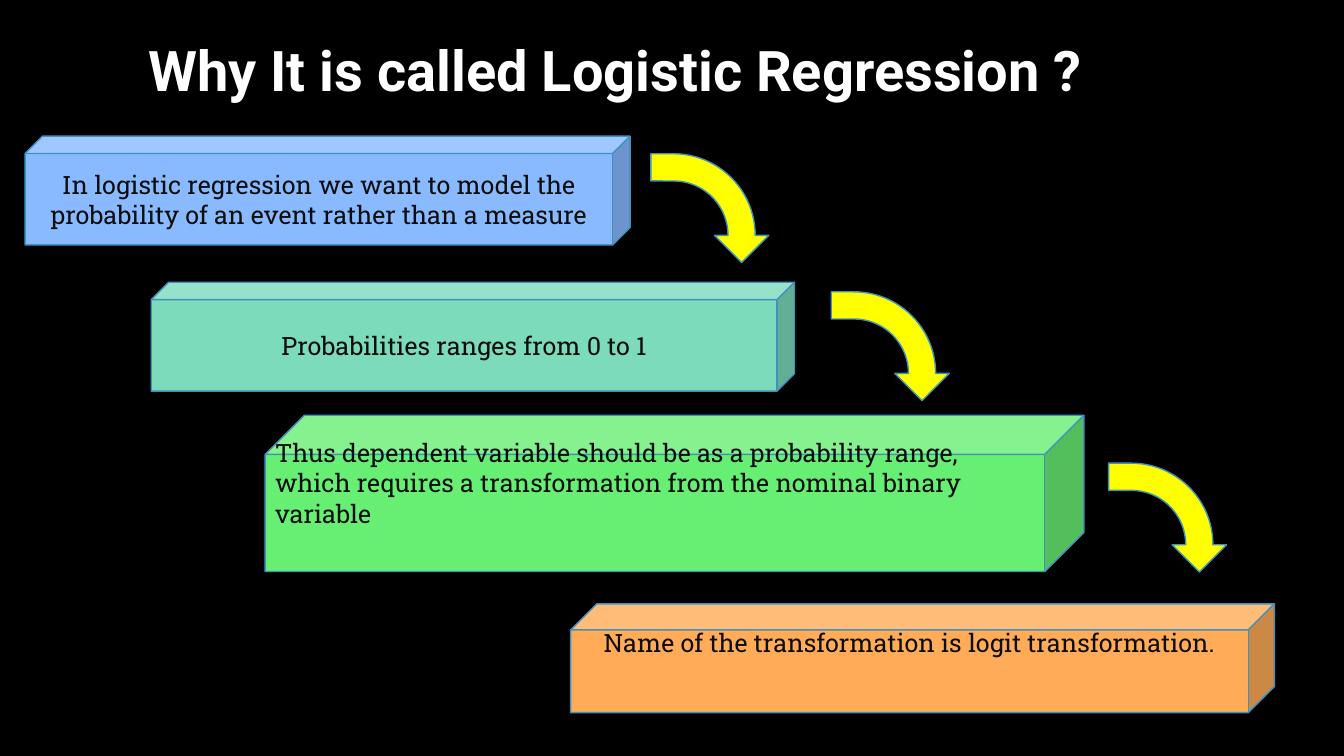
from pptx import Presentation
from pptx.dml.color import RGBColor
from pptx.enum.shapes import MSO_SHAPE
from pptx.enum.text import MSO_ANCHOR, MSO_AUTO_SIZE, PP_ALIGN
from pptx.util import Inches, Pt

THEME = {
    "background": RGBColor.from_string("000000"),
    "outline": RGBColor.from_string("4092BD"),
    "arrow": RGBColor.from_string("FFFF00"),
    "steps": [RGBColor.from_string(c) for c in ("89BAFF", "7BDBBB", "67EF74", "FFAB57")],
    "heading": {"name": "Roboto", "size": Pt(40), "bold": True,
                "color": RGBColor.from_string("FFFFFF")},
    "step_text": {"name": "Roboto Slab", "size": Pt(18), "bold": False,
                  "color": RGBColor.from_string("0D0D0D")},
}


def apply_font(paragraph, formats):
    for attribute, value in formats.items():
        if attribute == "color":
            paragraph.font.color.rgb = value
        else:
            setattr(paragraph.font, attribute, value)


def add_block(preset, place, adjustments, colour):
    block = slide.shapes.add_shape(preset, *[Inches(v) for v in place])
    for index, value in enumerate(adjustments):
        block.adjustments[index] = value
    block.shadow.inherit = False
    block.fill.solid()
    block.fill.fore_color.rgb = colour
    block.line.color.rgb = THEME["outline"]
    block.line.width = Pt(1)
    return block


prs = Presentation()
prs.slide_width, prs.slide_height = Inches(13.33), Inches(7.5)
slide = prs.slides.add_slide(prs.slide_layouts[5])
slide.background.fill.solid()
slide.background.fill.fore_color.rgb = THEME["background"]

heading = slide.shapes.title
heading_place = {"left": 1.37, "top": 0.3, "width": 11.96, "height": 0.77}
for attribute, value in heading_place.items():
    setattr(heading, attribute, Inches(value))
heading.text_frame.text = "Why It is called Logistic Regression ?"
heading.text_frame.auto_size = MSO_AUTO_SIZE.SHAPE_TO_FIT_TEXT
heading.text_frame.vertical_anchor = MSO_ANCHOR.TOP
heading.text_frame.paragraphs[0].alignment = PP_ALIGN.LEFT
apply_font(heading.text_frame.paragraphs[0], THEME["heading"])

steps = [
    ((0.25, 1.35, 6, 1.08), 0.16, PP_ALIGN.CENTER, 0.05,
     "In logistic regression we want to model the probability of an event rather than a measure"),
    ((1.5, 2.8, 6.38, 1.08), 0.16, PP_ALIGN.CENTER, 0.05,
     "Probabilities ranges from 0 to 1"),
    ((2.63, 4.12, 8.12, 1.55), 0.25, PP_ALIGN.LEFT, 0.65,
     "Thus dependent variable should be as a probability range, "
     "which requires a transformation from the nominal binary variable"),
    ((5.66, 5.99, 6.98, 1.08), 0.24, PP_ALIGN.CENTER, 0.63,
     "Name of the transformation is logit transformation."),
]
for (place, depth, alignment, bottom, wording), colour in zip(steps, THEME["steps"]):
    step = add_block(MSO_SHAPE.CUBE, place, [depth], colour)
    frame = step.text_frame
    frame.text = wording
    frame.word_wrap = True
    frame.vertical_anchor = MSO_ANCHOR.MIDDLE
    frame.margin_bottom = Inches(bottom)
    frame.paragraphs[0].alignment = alignment
    apply_font(frame.paragraphs[0], THEME["step_text"])

for left, top in [(6.5, 1.48), (8.29, 2.85), (11.04, 4.55)]:
    arrow = add_block(MSO_SHAPE.BENT_ARROW, (left, top, 1.08, 1.17),
                      [0.25, 0.25, 0.25, 0.75], THEME["arrow"])
    arrow.rotation = 90

prs.save("out.pptx")
